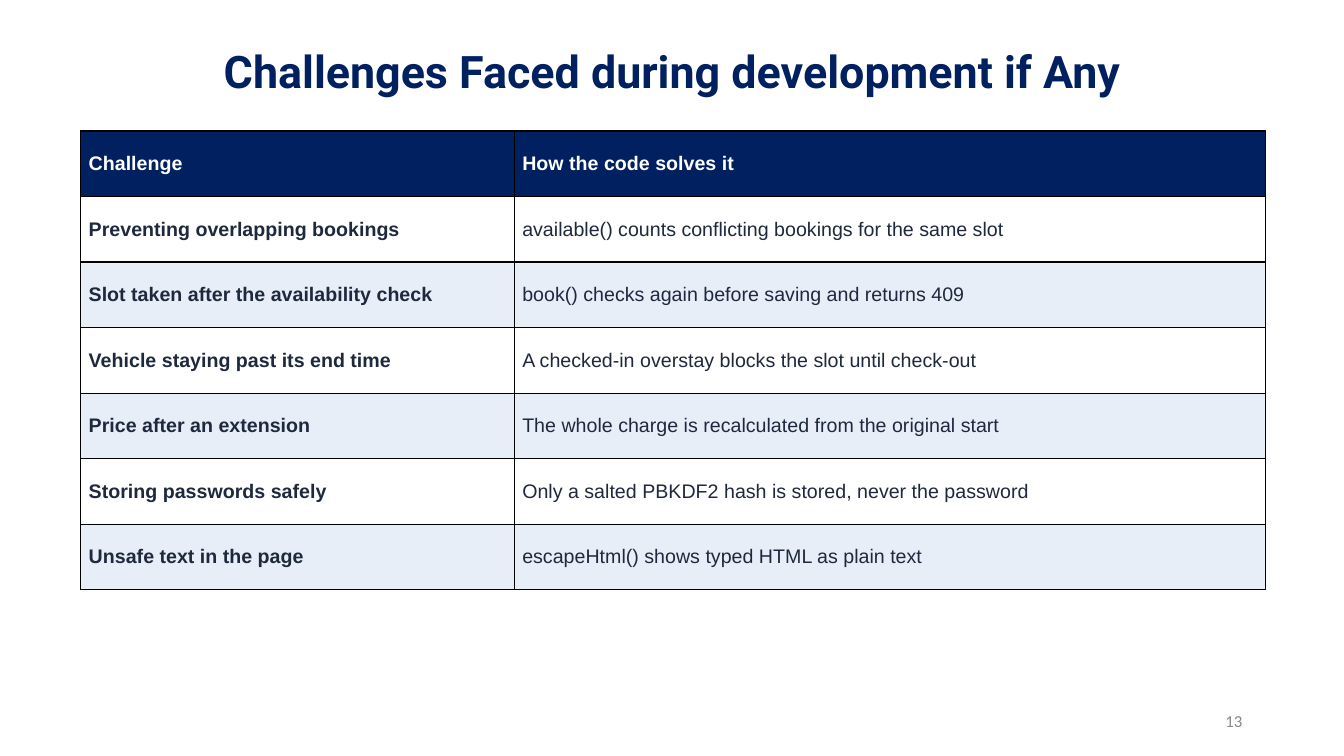
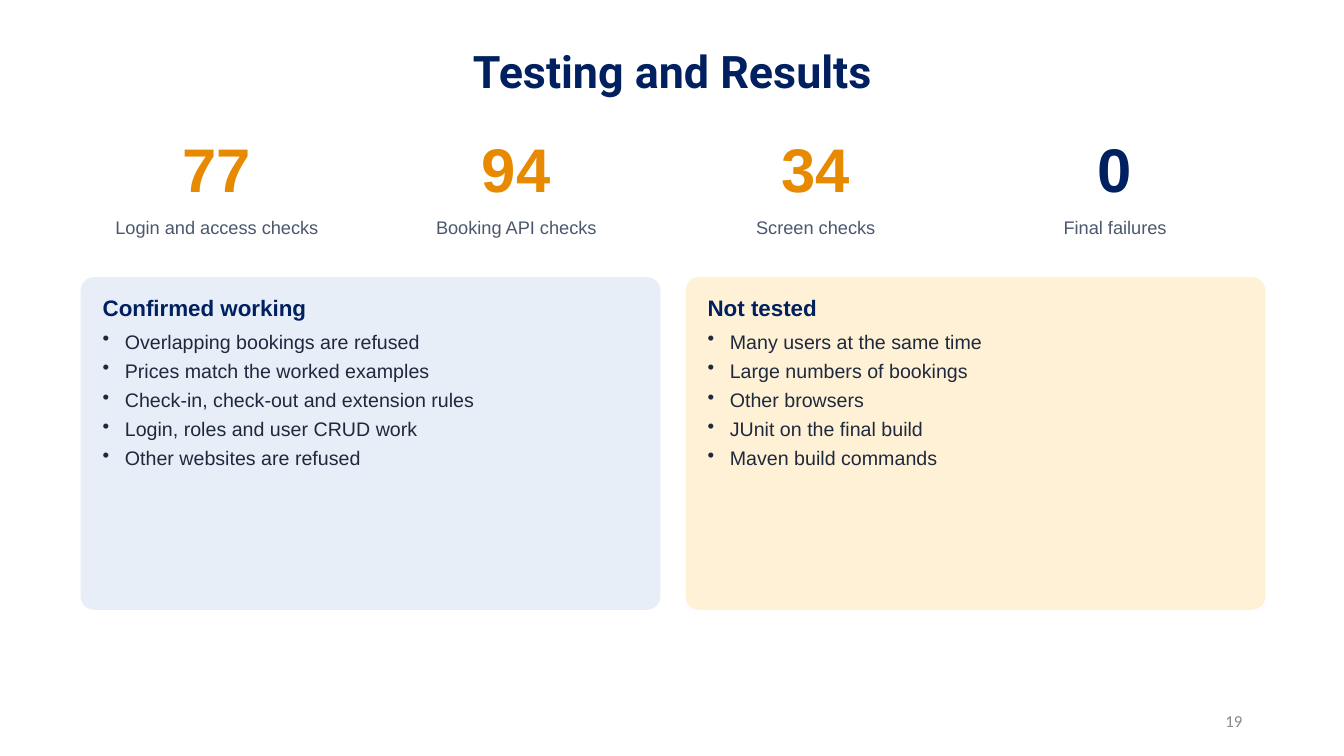
"""Build two project report slides: challenges and test results."""
from lxml import etree
from pptx import Presentation
from pptx import util as u
from pptx.dml.color import RGBColor
from pptx.enum import shapes, text
from pptx.oxml.ns import qn

NAVY = RGBColor(0x00, 0x20, 0x60)
INK = RGBColor(0x1F, 0x29, 0x3D)
SLATE = RGBColor(0x4A, 0x57, 0x6E)
GREY = RGBColor(0x88, 0x88, 0x88)
AMBER = RGBColor(0xE8, 0x8A, 0x00)
ICE = RGBColor(0xE8, 0xEE, 0xF8)
CREAM = RGBColor(0xFF, 0xF1, 0xD6)
WHITE = RGBColor(0xFF, 0xFF, 0xFF)

LEFT, TOP, WIDTH = 0.8, 1.3, 11.75
CENTER, RIGHT = text.PP_ALIGN.CENTER, text.PP_ALIGN.RIGHT
MIDDLE = text.MSO_ANCHOR.MIDDLE

COLS, ROW = (4.3, 7.45), 0.65
ROWS = [
    ("Challenge", "How the code solves it"),
    ("Preventing overlapping bookings",
     "available() counts conflicting bookings for the same slot"),
    ("Slot taken after the availability check",
     "book() checks again before saving and returns 409"),
    ("Vehicle staying past its end time",
     "A checked-in overstay blocks the slot until check-out"),
    ("Price after an extension",
     "The whole charge is recalculated from the original start"),
    ("Storing passwords safely",
     "Only a salted PBKDF2 hash is stored, never the password"),
    ("Unsafe text in the page",
     "escapeHtml() shows typed HTML as plain text"),
]

STATS = [
    ("77", "Login and access checks", AMBER),
    ("94", "Booking API checks", AMBER),
    ("34", "Screen checks", AMBER),
    ("0", "Final failures", NAVY),
]
STAT, STEP = 2.7, 2.97

CARDS = [
    ("Confirmed working", ICE, [
        "Overlapping bookings are refused",
        "Prices match the worked examples",
        "Check-in, check-out and extension rules",
        "Login, roles and user CRUD work",
        "Other websites are refused",
    ]),
    ("Not tested", CREAM, [
        "Many users at the same time",
        "Large numbers of bookings",
        "Other browsers",
        "JUnit on the final build",
        "Maven build commands",
    ]),
]
GAP = 0.25


def write(para, words, size, color, bold=False, face="Arial"):
    """Add one styled run to a paragraph."""
    run = para.add_run()
    run.text = words
    font = run.font
    font.size, font.name, font.bold = u.Pt(size), face, bold
    font.color.rgb = color


def inset(frame, side, edge):
    """Set the inner margins of a text frame or table cell."""
    frame.margin_left = frame.margin_right = u.Inches(side)
    frame.margin_top = frame.margin_bottom = u.Inches(edge)


def label(slide, box, words, size, color, bold=False, face="Arial",
          align=CENTER, anchor=text.MSO_ANCHOR.TOP, pad=(0, 0)):
    """Place a line of text."""
    frame = slide.shapes.add_textbox(*map(u.Inches, box)).text_frame
    frame.word_wrap = True
    frame.vertical_anchor = anchor
    inset(frame, *pad)
    para = frame.paragraphs[0]
    para.alignment = align
    write(para, words, size, color, bold, face)


def start(deck, title, number):
    """Add a slide with its title and page number."""
    slide = deck.slides.add_slide(deck.slide_layouts[5])
    label(slide, (9.42, 6.95, 3, 0.4), number, 12, GREY, face="Calibri",
          align=RIGHT, anchor=MIDDLE, pad=(0.1, 0.05))
    head = slide.shapes.title
    head.left, head.top, head.width, head.height = map(
        u.Inches, (1.16, 0.49, 11.02, 0.48))
    frame = head.text_frame
    frame.auto_size = text.MSO_AUTO_SIZE.NONE
    frame.vertical_anchor = MIDDLE
    inset(frame, 0, 0)
    para = frame.paragraphs[0]
    para.alignment, para.line_spacing = CENTER, 0.9
    write(para, title, 32, NAVY, True, "Roboto")
    return slide


def frame_cell(cell):
    """Draw thin black borders around a table cell."""
    props = cell._tc.get_or_add_tcPr()
    for at, side in enumerate(("lnL", "lnR", "lnT", "lnB")):
        line = etree.Element(qn("a:" + side), w=str(u.Pt(1)))
        fill = etree.SubElement(line, qn("a:solidFill"))
        etree.SubElement(fill, qn("a:srgbClr"), val="000000")
        props.insert(at, line)


def add_grid(slide):
    """Add the table of challenges and answers."""
    box = (LEFT, TOP, WIDTH, ROW * len(ROWS))
    grid = slide.shapes.add_table(
        len(ROWS), len(COLS), *map(u.Inches, box)).table
    for col, width in zip(grid.columns, COLS):
        col.width = u.Inches(width)
    for r, row in enumerate(ROWS):
        grid.rows[r].height = u.Inches(ROW)
        back = NAVY if r == 0 else WHITE if r % 2 else ICE
        for c, words in enumerate(row):
            cell = grid.cell(r, c)
            cell.fill.solid()
            cell.fill.fore_color.rgb = back
            cell.vertical_anchor = MIDDLE
            inset(cell, 0.08, 0.03)
            frame_cell(cell)
            write(cell.text_frame.paragraphs[0], words, 14,
                  INK if r else WHITE, r == 0 or c == 0)


def add_stats(slide):
    """Add the row of large figures with captions."""
    for n, (count, name, color) in enumerate(STATS):
        x = LEFT + n * STEP
        label(slide, (x, TOP, STAT, 0.8), count, 44, color, True)
        label(slide, (x, TOP + 0.85, STAT, 0.3), name, 13, SLATE)


def add_cards(slide):
    """Add the rounded cards with bulleted lists."""
    width = (WIDTH - GAP) / len(CARDS)
    for n, (head, back, items) in enumerate(CARDS):
        box = (LEFT + n * (width + GAP), 2.75, width, 3.3)
        card = slide.shapes.add_shape(
            shapes.MSO_SHAPE.ROUNDED_RECTANGLE, *map(u.Inches, box))
        card.adjustments[0] = 0.04
        card.shadow.inherit = False
        card.fill.solid()
        card.fill.fore_color.rgb = back
        card.line.fill.background()
        frame = card.text_frame
        frame.word_wrap = True
        frame.vertical_anchor = text.MSO_ANCHOR.TOP
        inset(frame, 0.18, 0.13)
        para = frame.paragraphs[0]
        para.alignment = text.PP_ALIGN.LEFT
        para.space_after = u.Pt(6)
        write(para, head, 16, NAVY, True)
        for item in items:
            para = frame.add_paragraph()
            props = para._p.get_or_add_pPr()
            props.set("marL", str(u.Inches(0.22)))
            props.set("indent", str(-u.Inches(0.22)))
            etree.SubElement(props, qn("a:buChar"), char="•")
            para.alignment = text.PP_ALIGN.LEFT
            para.space_after = u.Pt(4)
            write(para, item, 14, INK)


def main():
    """Build and save the deck."""
    deck = Presentation()
    deck.slide_width, deck.slide_height = u.Inches(13.33), u.Inches(7.5)
    add_grid(start(deck, "Challenges Faced during development if Any", "13"))
    slide = start(deck, "Testing and Results", "19")
    add_stats(slide)
    add_cards(slide)
    deck.save("out.pptx")


if __name__ == "__main__":
    main()
